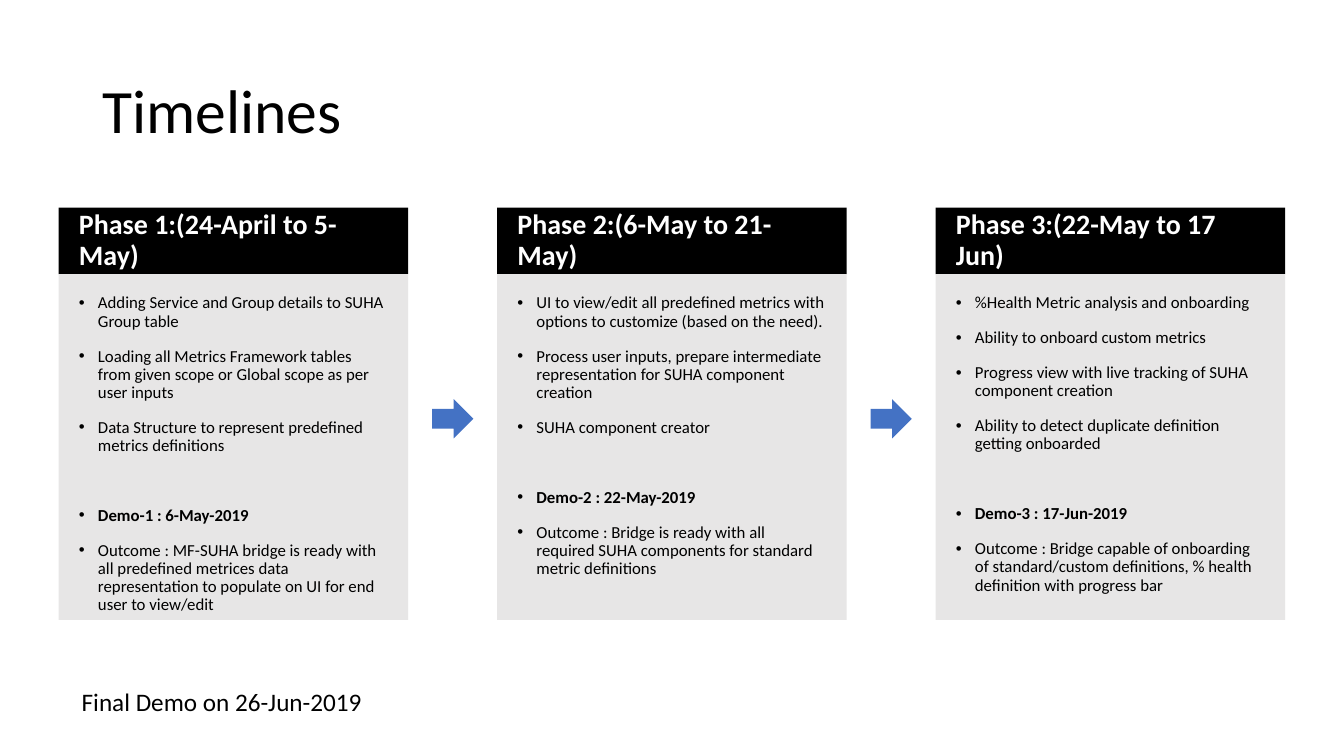
from lxml.etree import SubElement
from pptx import Presentation
from pptx.dml.color import RGBColor
from pptx.enum.shapes import MSO_SHAPE as Shape
from pptx.enum.text import MSO_ANCHOR as Anchor, MSO_AUTO_SIZE as AutoSize, PP_ALIGN as Align
from pptx.oxml.ns import qn
from pptx.util import Cm, Pt

BLACK = RGBColor(0x00, 0x00, 0x00)
WHITE = RGBColor(0xFF, 0xFF, 0xFF)
PANEL_GRAY = RGBColor(0xE7, 0xE6, 0xE6)
ARROW_BLUE = RGBColor(0x44, 0x72, 0xC4)

PHASES = [
    ("Phase 1:(24-April to 5-May)",
     ["Adding Service and Group details to SUHA Group table",
      "Loading all Metrics Framework tables from given scope or Global scope as per user inputs",
      "Data Structure to represent predefined metrics definitions"],
     "Demo-1 : 6-May-2019",
     "Outcome : MF-SUHA bridge is ready with all predefined metrices data representation "
     "to populate on UI for end user to view/edit"),
    ("Phase 2:(6-May to 21-May)",
     ["UI to view/edit all predefined metrics with options to customize (based on the need).",
      "Process user inputs, prepare intermediate representation for SUHA component creation",
      "SUHA component creator"],
     "Demo-2 : 22-May-2019",
     "Outcome : Bridge is ready with all required SUHA components for standard metric definitions"),
    ("Phase 3:(22-May to 17 Jun)",
     ["%Health Metric analysis and onboarding",
      "Ability to onboard custom metrics",
      "Progress view with live tracking of SUHA component creation",
      "Ability to detect duplicate definition getting onboarded"],
     "Demo-3 : 17-Jun-2019",
     "Outcome : Bridge capable of onboarding of standard/custom definitions, "
     "% health definition with progress bar"),
]

PHASE_LEFT, PHASE_PITCH, PHASE_WIDTH = 1.48, 11.05, 8.81
HEADER_TOP, HEADER_HEIGHT, BODY_HEIGHT = 5.23, 1.68, 8.71
ARROW_WIDTH, ARROW_HEIGHT = 1.04, 0.99
ITEM_GAP, DEMO_GAP = 12, 37


def write(paragraph, text, *, size, color=BLACK, bold=False, spacing=0.9, before=0, bullet=False):
    paragraph.alignment = Align.LEFT
    paragraph.line_spacing = spacing
    paragraph.space_before = Pt(before)
    run = paragraph.add_run()
    run.text = text
    run.font.name = "Calibri"
    run.font.size = Pt(size)
    run.font.bold = bold
    run.font.color.rgb = color
    if bullet:
        properties = paragraph._p.get_or_add_pPr()
        properties.set("marL", str(Cm(0.48)))
        properties.set("indent", str(-Cm(0.48)))
        SubElement(properties, qn("a:buFont"), typeface="Arial")
        SubElement(properties, qn("a:buChar"), char="•")


class TimelineSlide:
    def __init__(self, presentation):
        self.slide = presentation.slides.add_slide(presentation.slide_layouts[5])

    def title(self, text, left, top, width, height):
        heading = self.slide.shapes.title
        heading.left, heading.top = Cm(left), Cm(top)
        heading.width, heading.height = Cm(width), Cm(height)
        frame = heading.text_frame
        frame.auto_size = AutoSize.NONE
        frame.vertical_anchor = Anchor.MIDDLE
        write(frame.paragraphs[0], text, size=44)

    def block(self, kind, fill, left, top, width, height, inset=0.13, anchor=Anchor.MIDDLE):
        """Draw a filled shape without outline and return its text frame."""
        shape = self.slide.shapes.add_shape(kind, Cm(left), Cm(top), Cm(width), Cm(height))
        shape.shadow.inherit = False
        shape.fill.solid()
        shape.fill.fore_color.rgb = fill
        shape.line.fill.background()
        frame = shape.text_frame
        frame.word_wrap = True
        frame.vertical_anchor = anchor
        frame.margin_left = frame.margin_right = Cm(0.51)
        frame.margin_top = frame.margin_bottom = Cm(inset)
        return frame

    def phase(self, left, heading, tasks, demo, outcome):
        header = self.block(Shape.RECTANGLE, BLACK, left, HEADER_TOP, PHASE_WIDTH, HEADER_HEIGHT)
        write(header.paragraphs[0], heading, size=20, color=WHITE, bold=True)
        body = self.block(Shape.RECTANGLE, PANEL_GRAY, left, HEADER_TOP + HEADER_HEIGHT,
                          PHASE_WIDTH, BODY_HEIGHT, inset=0.51, anchor=Anchor.TOP)
        for index, item in enumerate([*tasks, demo, outcome]):
            is_demo = item == demo
            paragraph = body.add_paragraph() if index else body.paragraphs[0]
            write(paragraph, item, size=12, bold=is_demo, bullet=True,
                  before=DEMO_GAP if is_demo else ITEM_GAP)

    def arrow(self, center_x, center_y):
        self.block(Shape.RIGHT_ARROW, ARROW_BLUE, center_x - ARROW_WIDTH / 2,
                   center_y - ARROW_HEIGHT / 2, ARROW_WIDTH, ARROW_HEIGHT)

    def note(self, text, left, top, width, height):
        box = self.slide.shapes.add_textbox(Cm(left), Cm(top), Cm(width), Cm(height))
        box.text_frame.word_wrap = True
        write(box.text_frame.paragraphs[0], text, size=18, spacing=1.0)


def main():
    presentation = Presentation()
    presentation.slide_width, presentation.slide_height = Cm(33.87), Cm(19.05)
    timeline = TimelineSlide(presentation)
    timeline.title("Timelines", 2.33, 1.01, 29.21, 3.68)
    lefts = [PHASE_LEFT + number * PHASE_PITCH for number in range(len(PHASES))]
    for left, phase in zip(lefts, PHASES):
        timeline.phase(left, *phase)
    gap = PHASE_PITCH - PHASE_WIDTH
    for left in lefts[1:]:
        timeline.arrow(left - gap / 2, HEADER_TOP + (HEADER_HEIGHT + BODY_HEIGHT) / 2 + 0.13)
    timeline.note("Final Demo on 26-Jun-2019", 1.81, 17.17, 11.66, 1.03)
    presentation.save("out.pptx")


if __name__ == "__main__":
    main()
